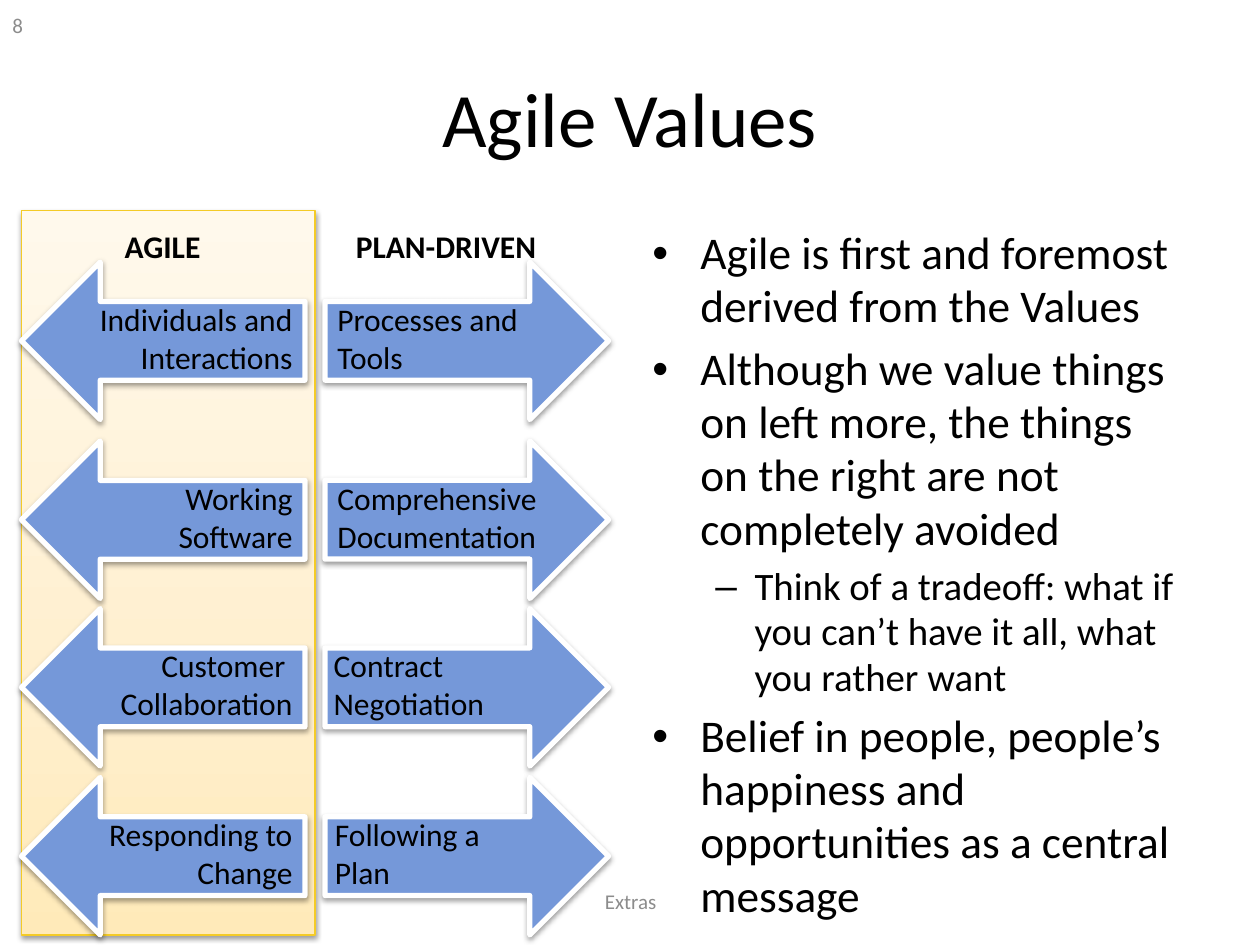
from dataclasses import dataclass

from lxml import etree
from pptx import Presentation
from pptx import util as u
from pptx.dml.color import RGBColor
from pptx.enum import shapes, text
from pptx.oxml import parse_xml
from pptx.oxml.ns import nsdecls, qn

COLORS = {
    "black": "000000",
    "grey": "8C8C8C",
    "arrow": "7598D9",
    "white": "FFFFFF",
    "gold": "F4CB27",
    "cream_dark": "FFEAB9",
    "cream_mid": "FFEFCE",
    "cream_light": "FFF9EC",
}
LEFT, CENTER, RIGHT = text.PP_ALIGN.LEFT, text.PP_ALIGN.CENTER, text.PP_ALIGN.RIGHT
TOP, MIDDLE = text.MSO_ANCHOR.TOP, text.MSO_ANCHOR.MIDDLE
ARROW_W, ARROW_H = 2.25, 1.25
AGILE_X, PLAN_X = 0.17, 2.58


@dataclass
class Label:
    words: str
    left: float
    top: float
    width: float
    height: float = 0.4
    align: int = LEFT
    size: float = 18
    color: str = "black"
    bold: bool = False
    anchor: int = TOP
    wrap: bool = True


@dataclass
class ValuePair:
    arrow_top: float
    agile: Label
    plan: Label


@dataclass
class Bullet:
    words: str
    level: int = 0


@dataclass
class BulletStyle:
    mark: str
    size: float
    margin: float
    indent: float


BULLET_STYLES = [
    BulletStyle("•", 25.9, 0.38, -0.38),
    BulletStyle("–", 22.2, 0.81, -0.31),
]

BULLETS = [
    Bullet("Agile is first and foremost derived from the Values"),
    Bullet("Although we value things on left more, the things on the right "
           "are not completely avoided"),
    Bullet("Think of a tradeoff: what if you can’t have it all, "
           "what you rather want", 1),
    Bullet("Belief in people, people’s happiness and opportunities "
           "as a central message"),
]

PAIRS = [
    ValuePair(2.08,
              Label("Individuals and Interactions", 0.25, 2.33, 2.17, 0.71, RIGHT),
              Label("Processes and Tools", 2.58, 2.33, 1.75, 0.71)),
    ValuePair(3.5,
              Label("Working Software", 0.92, 3.75, 1.5, 0.71, RIGHT),
              Label("Comprehensive Documentation", 2.58, 3.75, 1.99, 0.71)),
    ValuePair(4.83,
              Label("Customer \vCollaboration", 0.84, 5.08, 1.58, 0.71, RIGHT, wrap=False),
              Label("Contract \vNegotiation", 2.55, 5.08, 1.41, 0.71, wrap=False)),
    ValuePair(6.17,
              Label("Responding to Change", 0, 6.42, 2.42, 0.71, RIGHT),
              Label("Following a Plan", 2.56, 6.42, 1.77, 0.71)),
]

LABELS = [
    Label("Agile Values", 0.5, 0.3, 9, 1.25, CENTER, 44, anchor=MIDDLE),
    Label("8", 0, 0, 2.33, size=12, color="grey", anchor=MIDDLE),
    Label("Extras", 3.42, 6.95, 3.17, align=CENTER, size=12, color="grey", anchor=MIDDLE),
    Label("AGILE", 0.5, 1.75, 1.58, align=CENTER, bold=True),
    Label("PLAN-DRIVEN", 2.5, 1.75, 2.08, align=CENTER, bold=True),
]


def rgb(name: str) -> RGBColor:
    return RGBColor.from_string(COLORS[name])


def box(left: float, top: float, width: float, height: float) -> list:
    return [u.Inches(v) for v in (left, top, width, height)]


def format_runs(p, size: float, color: str = "black", bold: bool = False) -> None:
    formats = {"name": "Calibri", "size": u.Pt(size), "bold": bold}
    for r in p.runs:
        for key, value in formats.items():
            setattr(r.font, key, value)
        r.font.color.rgb = rgb(color)


def add_label(s, label: Label) -> None:
    sp = s.shapes.add_textbox(*box(label.left, label.top, label.width, label.height))
    tf = sp.text_frame
    for key, value in {"word_wrap": label.wrap, "vertical_anchor": label.anchor}.items():
        setattr(tf, key, value)
    p = tf.paragraphs[0]
    p.text = label.words
    p.alignment = label.align
    format_runs(p, label.size, label.color, label.bold)


def add_shadowed(s, kind, place: list, line: str, line_width: float):
    sp = s.shapes.add_shape(kind, *place)
    sp.line.color.rgb = rgb(line)
    sp.line.width = u.Pt(line_width)
    sp._element.spPr.append(parse_xml(
        f'<a:effectLst {nsdecls("a")}><a:outerShdw blurRad="40000" dist="20000" '
        f'dir="5400000" rotWithShape="0"><a:srgbClr val="{COLORS["black"]}">'
        '<a:alpha val="38000"/></a:srgbClr></a:outerShdw></a:effectLst>'))
    return sp


def add_panel(s) -> None:
    sp = add_shadowed(s, shapes.MSO_SHAPE.RECTANGLE, box(AGILE_X, 1.67, 2.33, 5.75),
                      "gold", 0.75)
    stops = [(0, "cream_dark"), (35, "cream_mid"), (100, "cream_light")]
    stop_xml = "".join(f'<a:gs pos="{pos * 1000}"><a:srgbClr val="{COLORS[name]}"/></a:gs>'
                       for pos, name in stops)
    sp._element.spPr.find(qn("a:prstGeom")).addnext(parse_xml(
        f'<a:gradFill {nsdecls("a")} rotWithShape="1"><a:gsLst>{stop_xml}</a:gsLst>'
        '<a:lin ang="16200000" scaled="0"/></a:gradFill>'))


def add_arrow(s, left: float, top: float, rotation: float = 0) -> None:
    sp = add_shadowed(s, shapes.MSO_SHAPE.RIGHT_ARROW, box(left, top, ARROW_W, ARROW_H),
                      "white", 3)
    sp.rotation = rotation
    sp.fill.solid()
    sp.fill.fore_color.rgb = rgb("arrow")


def add_bullets(s, bullets: list[Bullet]) -> None:
    tf = s.shapes.add_textbox(*box(5.08, 1.75, 4.42, 4.95)).text_frame
    tf.word_wrap = True
    for i, bullet in enumerate(bullets):
        style = BULLET_STYLES[bullet.level]
        p = tf.add_paragraph() if i else tf.paragraphs[0]
        p.text = bullet.words
        formats = {"level": bullet.level, "line_spacing": 0.98,
                   "space_before": u.Pt(style.size * 0.2 if i else 0)}
        for key, value in formats.items():
            setattr(p, key, value)
        pPr = p._p.get_or_add_pPr()
        pPr.set("marL", str(u.Inches(style.margin)))
        pPr.set("indent", str(u.Inches(style.indent)))
        etree.SubElement(pPr, qn("a:buFont")).set("typeface", "Arial")
        etree.SubElement(pPr, qn("a:buChar")).set("char", style.mark)
        format_runs(p, style.size)


def main() -> None:
    prs = Presentation()
    prs.slide_width, prs.slide_height = u.Inches(10), u.Inches(7.5)
    s = prs.slides.add_slide(prs.slide_layouts[6])
    add_panel(s)
    add_bullets(s, BULLETS)
    for pair in PAIRS:
        add_arrow(s, PLAN_X, pair.arrow_top)
        add_arrow(s, AGILE_X, pair.arrow_top, 180)
    for pair in PAIRS:
        add_label(s, pair.agile)
        add_label(s, pair.plan)
    for label in LABELS:
        add_label(s, label)
    prs.save("out.pptx")


if __name__ == "__main__":
    main()
